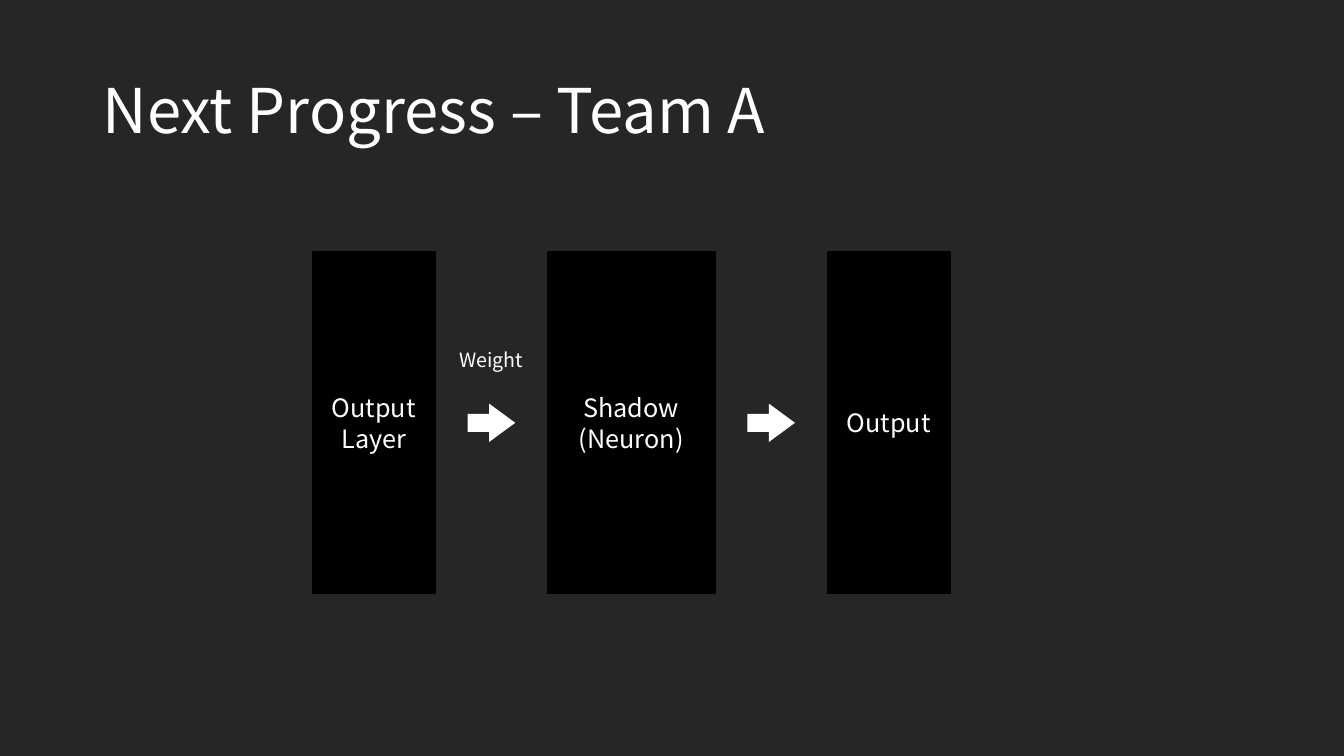
from pptx import Presentation
from pptx.dml.color import RGBColor
from pptx.enum.shapes import MSO_SHAPE
from pptx.enum.text import MSO_ANCHOR, PP_ALIGN
from pptx.util import Cm, Pt

WHITE, BLACK, CHARCOAL = "FFFFFF", "000000", "262626"


def paint(fill, color):
    fill.solid()
    fill.fore_color.rgb = RGBColor.from_string(color)


def write(frame, text, size, align):
    frame.text = text
    frame.word_wrap = True
    for paragraph in frame.paragraphs:
        paragraph.alignment = align
        for run in paragraph.runs:
            run.font.name = "Noto Sans CJK KR"
            run.font.size = Pt(size)
            paint(run.font.fill, WHITE)


deck = Presentation()
deck.slide_width, deck.slide_height = Cm(33.87), Cm(19.05)
slide = deck.slides.add_slide(deck.slide_layouts[6])
paint(slide.background.fill, CHARCOAL)

# Title
title = slide.shapes.add_textbox(Cm(2.34), Cm(1.02), Cm(29.21), Cm(3.68))
write(title.text_frame, "Next Progress – Team A", 44, PP_ALIGN.LEFT)
title.text_frame.vertical_anchor = MSO_ANCHOR.MIDDLE
title.text_frame.paragraphs[0].line_spacing = 0.9

# Stages from left to right, with an arrow centred in each gap
stages = [("Output Layer", 3.1), ("Shadow\n(Neuron)", 4.22), ("Output", 3.1)]
stage_top, stage_height, gap = 6.35, 8.61, 2.83
arrow_width, arrow_height = 1.2, 0.97
first_left = left = 7.87
for label, width in stages:
    if left > first_left:
        arrow = slide.shapes.add_shape(
            MSO_SHAPE.RIGHT_ARROW,
            Cm(left - (gap + arrow_width) / 2),
            Cm(stage_top + (stage_height - arrow_height) / 2),
            Cm(arrow_width), Cm(arrow_height))
        arrow.adjustments[0], arrow.adjustments[1] = 0.47, 0.68
        arrow.shadow.inherit = False
        paint(arrow.fill, WHITE)
        arrow.line.fill.background()

    stage = slide.shapes.add_shape(
        MSO_SHAPE.RECTANGLE, Cm(left), Cm(stage_top), Cm(width), Cm(stage_height))
    stage.shadow.inherit = False
    paint(stage.fill, BLACK)
    paint(stage.line.fill, BLACK)
    stage.line.width = Pt(1)
    write(stage.text_frame, label, 18, PP_ALIGN.CENTER)
    stage.text_frame.vertical_anchor = MSO_ANCHOR.MIDDLE
    left += width + gap

# Label above the first arrow
weight_width = 2.29
weight_left = first_left + stages[0][1] + (gap - weight_width) / 2
weight = slide.shapes.add_textbox(
    Cm(weight_left), Cm(8.64), Cm(weight_width), Cm(0.86))
write(weight.text_frame, "Weight", 14, PP_ALIGN.CENTER)

deck.save("out.pptx")
